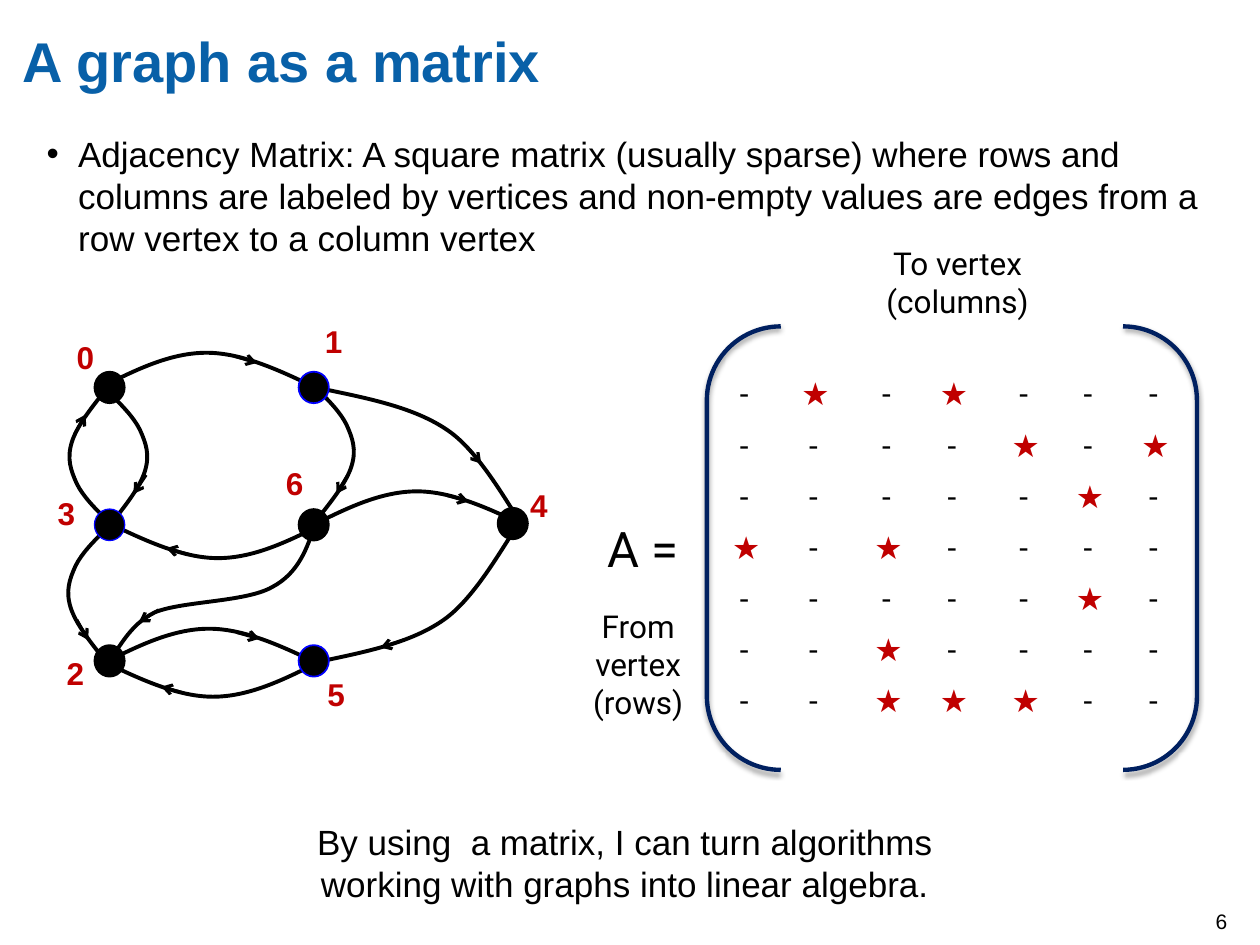
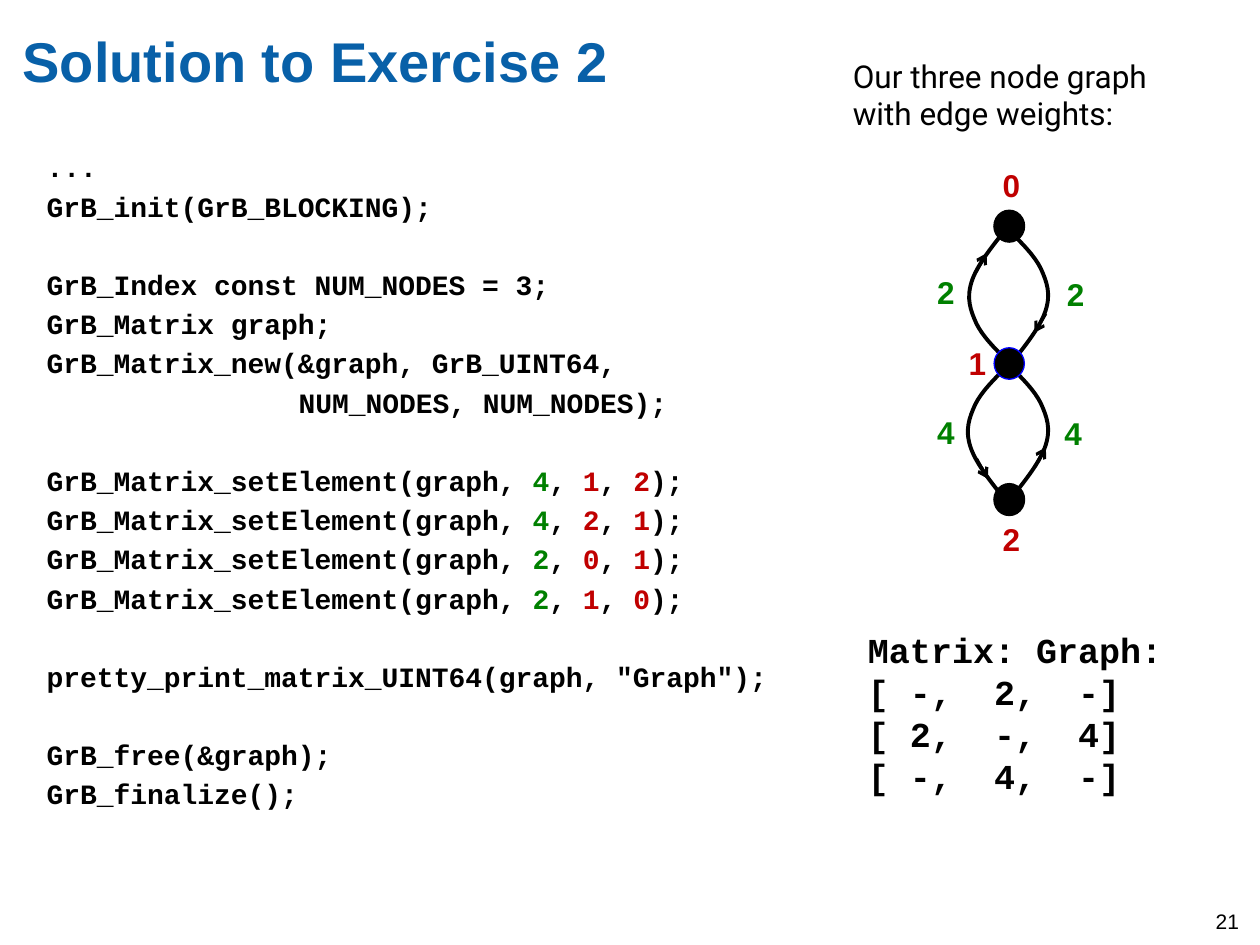
"""Build two slides on graphs and their adjacency matrices."""
from lxml.etree import SubElement
from pptx import Presentation
from pptx.dml.color import RGBColor
from pptx.enum.shapes import MSO_CONNECTOR, MSO_SHAPE
from pptx.enum.text import MSO_ANCHOR, MSO_AUTO_SIZE, PP_ALIGN
from pptx.oxml.ns import qn
from pptx.util import Emu, Inches, Pt

BLACK, RED, GREEN = "000000", "C00000", "008000"
TITLE_BLUE, NAVY, RIM_BLUE = "0860A8", "002060", "0000FF"
SANS, MONO, ROBOTO = "Arial", "Courier New", "Roboto"
TITLE_BOX = (0.18, 0.21, 9.01, 0.97)
NUMBER_BOX = (9.55, 7.16, 0.45, 0.33)
VERTEX_SIZE = (0.24, 0.25)
LABEL_SIZE = (0.34, 0.4)
CODE_SIZE, CODE_PITCH, CODE_GAP = 16, 22.4, 3.2
CHARACTER_WIDTH = 0.6 * CODE_SIZE

DEFINITION = (
    "Adjacency Matrix: A square matrix (usually sparse) where rows and columns are "
    "labeled by vertices and non-empty values are edges from a row vertex to a column vertex"
)
CONCLUSION = "By using  a matrix, I can turn algorithms working with graphs into linear algebra."

ADJACENCY = [(1, 3), (4, 6), (5,), (0, 2), (5,), (2,), (2, 3, 4)]
COLUMN_WIDTHS = (0.55, 0.58, 0.52, 0.57, 0.51, 0.52, 0.52)

CURVES = {
    "bow": [(0.1, 0.1), (0.19, 0.19), (0.24, 0.29), (0.29, 0.4), (0.32, 0.49),
            (0.28, 0.62), (0.24, 0.75), (0.12, 0.9), (0, 1.05)],
    "arc": [(0.26, -0.13), (0.52, -0.25), (0.79, -0.25),
            (1.06, -0.25), (1.35, -0.12), (1.64, 0.02)],
    "sweep": [(-0.1, 0.13), (-0.33, 0.57), (-0.59, 0.75),
              (-0.86, 0.94), (-1.24, 1.01), (-1.62, 1.09)],
    "wave": [(0.07, -0.06), (0.15, -0.27), (0.36, -0.37), (0.58, -0.46), (1.08, -0.45),
             (1.29, -0.57), (1.5, -0.68), (1.57, -0.88), (1.63, -1.07)],
}

SEVEN_NODE_GRAPH = {
    "edges": [
        ("bow", (0.85, 4.13), (-1, -1), (0.59, 3.45), (0.68, 3.29)),
        ("bow", (0.87, 3.12), (1, 1), (1.16, 3.77), (1.06, 3.92)),
        ("arc", (0.85, 3.05), (1, 1), (1.87, 2.83), (2.04, 2.88)),
        ("wave", (0.87, 5.23), (1, 1), (1.26, 4.84), (1.1, 4.94)),
        ("arc", (2.52, 4.15), (1, 1), (3.54, 3.93), (3.72, 3.98)),
        ("arc", (0.87, 5.24), (1, 1), (1.88, 5.02), (2.06, 5.07)),
        ("arc", (2.48, 5.28), (-1, -1), (1.46, 5.5), (1.28, 5.45)),
        ("arc", (2.52, 4.18), (-1, -1), (1.5, 4.4), (1.32, 4.35)),
        ("bow", (0.84, 4.2), (-1, 1), (0.61, 4.92), (0.7, 5.08)),
        ("bow", (2.51, 3.08), (1, 1), (2.76, 3.77), (2.67, 3.92)),
        ("sweep", (4.11, 4.17), (1, 1), (3.2, 5.08), (3.02, 5.14)),
        ("sweep", (4.15, 4.17), (1, -1), (3.7, 3.54), (3.82, 3.68)),
    ],
    "vertices": [
        ((0.75, 2.95), BLACK, 1), ((2.37, 5.12), RIM_BLUE, 1), ((2.37, 2.95), RIM_BLUE, 1),
        ((2.37, 4.04), BLACK, 1), ((3.95, 4.03), BLACK, 1), ((0.75, 4.04), RIM_BLUE, 0.75),
        ((0.75, 5.12), BLACK, 1),
    ],
    "labels": [
        ("0", (0.51, 2.63), RED), ("1", (2.48, 2.51), RED), ("2", (0.43, 5.14), RED),
        ("3", (0.36, 3.87), RED), ("4", (4.11, 3.81), RED), ("5", (2.5, 5.31), RED),
        ("6", (2.17, 3.63), RED),
    ],
}
THREE_NODE_GRAPH = {
    "edges": [
        ("bow", (7.99, 2.86), (-1, -1), (7.74, 2.17), (7.83, 2.01)),
        ("bow", (8.02, 1.84), (1, 1), (8.3, 2.49), (8.21, 2.64)),
        ("bow", (7.98, 2.92), (-1, 1), (7.75, 3.64), (7.84, 3.8)),
        ("bow", (8.02, 2.91), (1, 1), (8.21, 3.71), (8.3, 3.55)),
    ],
    "vertices": [((7.89, 1.67), BLACK, 1), ((7.89, 2.76), RIM_BLUE, 0.75),
                 ((7.89, 3.84), BLACK, 1)],
    "labels": [
        ("0", (7.86, 1.27), RED), ("1", (7.59, 2.68), RED), ("2", (7.86, 4.08), RED),
        ("2", (7.34, 2.12), GREEN), ("2", (8.37, 2.13), GREEN),
        ("4", (7.34, 3.23), GREEN), ("4", (8.35, 3.24), GREEN),
    ],
}

WEIGHTED_EDGES = [("4", "1", "2"), ("4", "2", "1"), ("2", "0", "1"), ("2", "1", "0")]
CODE_BLOCKS = [
    ["...", "GrB_init(GrB_BLOCKING);"],
    ["GrB_Index const NUM_NODES = 3;", "GrB_Matrix graph;",
     "GrB_Matrix_new(&graph, GrB_UINT64,", "NUM_NODES, NUM_NODES);"],
    WEIGHTED_EDGES,
    ['pretty_print_matrix_UINT64(graph, "Graph");'],
    ["GrB_free(&graph);", "GrB_finalize();"],
]
CONTINUATION, CONTINUATION_COLUMN = "NUM_NODES, NUM_NODES);", 15
PRINTED_MATRIX = ["Matrix: Graph:", "[ -,  2,  -]", "[ 2,  -,  4]", "[ -,  4,  -]"]


def color(value):
    return RGBColor.from_string(value)


def add_run(paragraph, text, size, font=SANS, shade=BLACK, bold=False):
    run = paragraph.add_run()
    run.text = text
    run.font.size, run.font.name, run.font.bold = Pt(size), font, bold
    run.font.color.rgb = color(shade)


def add_text(shapes, box, lines, size, font=SANS, shade=BLACK, bold=False,
             align=PP_ALIGN.LEFT, wrap=True):
    frame = shapes.add_textbox(*map(Inches, box)).text_frame
    frame.word_wrap = wrap
    for index, line in enumerate(lines):
        paragraph = frame.add_paragraph() if index else frame.paragraphs[0]
        paragraph.alignment = align
        add_run(paragraph, line, size, font, shade, bold)


def place(placeholder, box):
    placeholder.left, placeholder.top, placeholder.width, placeholder.height = map(Inches, box)
    frame = placeholder.text_frame
    frame.margin_left = frame.margin_top = frame.margin_right = frame.margin_bottom = 0
    frame.vertical_anchor = MSO_ANCHOR.TOP
    frame.auto_size = MSO_AUTO_SIZE.NONE
    frame.word_wrap = True
    return frame


def set_indent(paragraph, left, hanging=0):
    properties = paragraph._p.get_or_add_pPr()
    properties.set("marL", str(int(left)))
    properties.set("indent", str(-int(hanging)))
    if hanging:
        SubElement(properties, qn("a:buChar"), char="•")
    else:
        SubElement(properties, qn("a:buNone"))


def add_slide(presentation, title, number, body_box):
    slide = presentation.slides.add_slide(presentation.slide_layouts[1])
    paragraph = place(slide.shapes.title, TITLE_BOX).paragraphs[0]
    paragraph.alignment = PP_ALIGN.LEFT
    add_run(paragraph, title, 32, shade=TITLE_BLUE, bold=True)
    add_text(slide.shapes, NUMBER_BOX, [number], 12)
    return slide, place(slide.placeholders[1], body_box)


def add_curve(shapes, name, start, mirror):
    points = [tuple(Inches(origin + sign * step)
                    for origin, sign, step in zip(start, mirror, offset))
              for offset in CURVES[name]]
    builder = shapes.build_freeform(*map(Inches, start), scale=1.0)
    builder.add_line_segments(points, close=False)
    curve = builder.convert_to_shape()
    segments = curve._element.xpath(".//a:lnTo")
    outline = segments[0].getparent()
    for first in range(0, len(segments), 3):
        bezier = SubElement(outline, qn("a:cubicBezTo"))
        for segment in segments[first:first + 3]:
            bezier.append(segment[0])
            outline.remove(segment)
    curve.shadow.inherit = False
    curve.fill.background()
    curve.line.color.rgb, curve.line.width = color(BLACK), Pt(2.25)


def add_arrow(shapes, start, end):
    arrow = shapes.add_connector(MSO_CONNECTOR.STRAIGHT, *map(Inches, start + end))
    arrow.line.color.rgb, arrow.line.width = color(BLACK), Pt(1.75)
    SubElement(arrow.line._get_or_add_ln(), qn("a:tailEnd"), type="arrow")
    SubElement(arrow._element.spPr, qn("a:effectLst"))


def add_graph(slide, graph):
    shapes = slide.shapes.add_group_shape().shapes
    for name, start, mirror, tail, tip in graph["edges"]:
        add_arrow(shapes, tail, tip)
        add_curve(shapes, name, start, mirror)
    for corner, rim, width in graph["vertices"]:
        vertex = shapes.add_shape(MSO_SHAPE.OVAL, *map(Inches, corner + VERTEX_SIZE))
        vertex.shadow.inherit = False
        vertex.fill.solid()
        vertex.fill.fore_color.rgb = color(BLACK)
        vertex.line.color.rgb, vertex.line.width = color(rim), Pt(width)
    for text, corner, shade in graph["labels"]:
        add_text(shapes, corner + LABEL_SIZE, [text], 18, shade=shade, bold=True, wrap=False)


def add_matrix(slide):
    size = len(ADJACENCY)
    box = map(Inches, (5.71, 2.94, sum(COLUMN_WIDTHS), 2.84))
    table = slide.shapes.add_table(size, size, *box).table
    table.first_row = table.horz_banding = False
    for column, width in zip(table.columns, COLUMN_WIDTHS):
        column.width = Inches(width)
    for row, targets in enumerate(ADJACENCY):
        for column in range(size):
            cell = table.cell(row, column)
            cell.fill.background()
            edge = column in targets
            add_run(cell.text_frame.paragraphs[0], "★" if edge else " -", 18, ROBOTO,
                    RED if edge else BLACK, edge)


def add_brackets(slide):
    brackets = slide.shapes.add_shape(MSO_SHAPE.DOUBLE_BRACKET,
                                      *map(Inches, (5.61, 2.59, 3.89, 3.52)))
    brackets.fill.background()
    brackets.line.color.rgb, brackets.line.width = color(NAVY), Pt(2.5)
    effects = SubElement(brackets._element.spPr, qn("a:effectLst"))
    shadow = SubElement(effects, qn("a:outerShdw"), blurRad=str(Pt(3.1)), dist=str(Pt(1.6)),
                        dir="5400000", rotWithShape="0")
    tint = SubElement(shadow, qn("a:srgbClr"), val=BLACK)
    SubElement(tint, qn("a:alpha"), val="38000")


def code_runs(line):
    if isinstance(line, str):
        return [(line, BLACK)]
    weight, source, target = line
    return [("GrB_Matrix_setElement(graph, ", BLACK), (weight, GREEN), (", ", BLACK),
            (source, RED), (", ", BLACK), (target, RED), (");", BLACK)]


def fill_code(frame):
    paragraph = frame.paragraphs[0]
    for block_index, block in enumerate(CODE_BLOCKS):
        for line_index, line in enumerate(block):
            if block_index or line_index:
                paragraph = frame.add_paragraph()
            new_block = block_index and not line_index
            paragraph.space_before = Pt(CODE_GAP + (CODE_PITCH if new_block else 0))
            column = CONTINUATION_COLUMN if line == CONTINUATION else 0
            set_indent(paragraph, Pt(column * CHARACTER_WIDTH))
            for text, shade in code_runs(line):
                add_run(paragraph, text, CODE_SIZE, MONO, shade, True)


def build_matrix_slide(presentation):
    slide, body = add_slide(presentation, "A graph as a matrix", "6", (0.37, 1.05, 9.18, 1.11))
    paragraph = body.paragraphs[0]
    paragraph.space_before = Pt(4)
    set_indent(paragraph, Inches(0.25), Inches(0.25))
    add_run(paragraph, DEFINITION, 20)
    add_matrix(slide)
    add_brackets(slide)
    center = PP_ALIGN.CENTER
    add_text(slide.shapes, (4.72, 4.07, 0.88, 0.57), ["A ="], 28, ROBOTO)
    add_text(slide.shapes, (4.36, 4.77, 1.41, 1.01), ["From vertex (rows)"], 18, ROBOTO,
             align=center)
    add_text(slide.shapes, (6.63, 1.89, 1.94, 0.71), ["To vertex (columns)"], 18, ROBOTO,
             align=center)
    add_text(slide.shapes, (1.97, 6.46, 5.98, 0.77), [CONCLUSION], 20, align=center)
    add_graph(slide, SEVEN_NODE_GRAPH)


def build_solution_slide(presentation):
    slide, body = add_slide(presentation, "Solution to Exercise 2", "21",
                            (0.37, 1.19, 9.01, 5.09))
    fill_code(body)
    add_text(slide.shapes, (6.79, 4.94, 2.75, 1.45), PRINTED_MATRIX, 20, MONO, bold=True)
    add_graph(slide, THREE_NODE_GRAPH)
    add_text(slide.shapes, (6.67, 0.4, 2.71, 0.71),
             ["Our three node graph with edge weights:"], 18, ROBOTO)


def main():
    presentation = Presentation()
    presentation.slide_width, presentation.slide_height = Emu(Inches(10)), Emu(Inches(7.5))
    build_matrix_slide(presentation)
    build_solution_slide(presentation)
    presentation.save("out.pptx")


if __name__ == "__main__":
    main()
